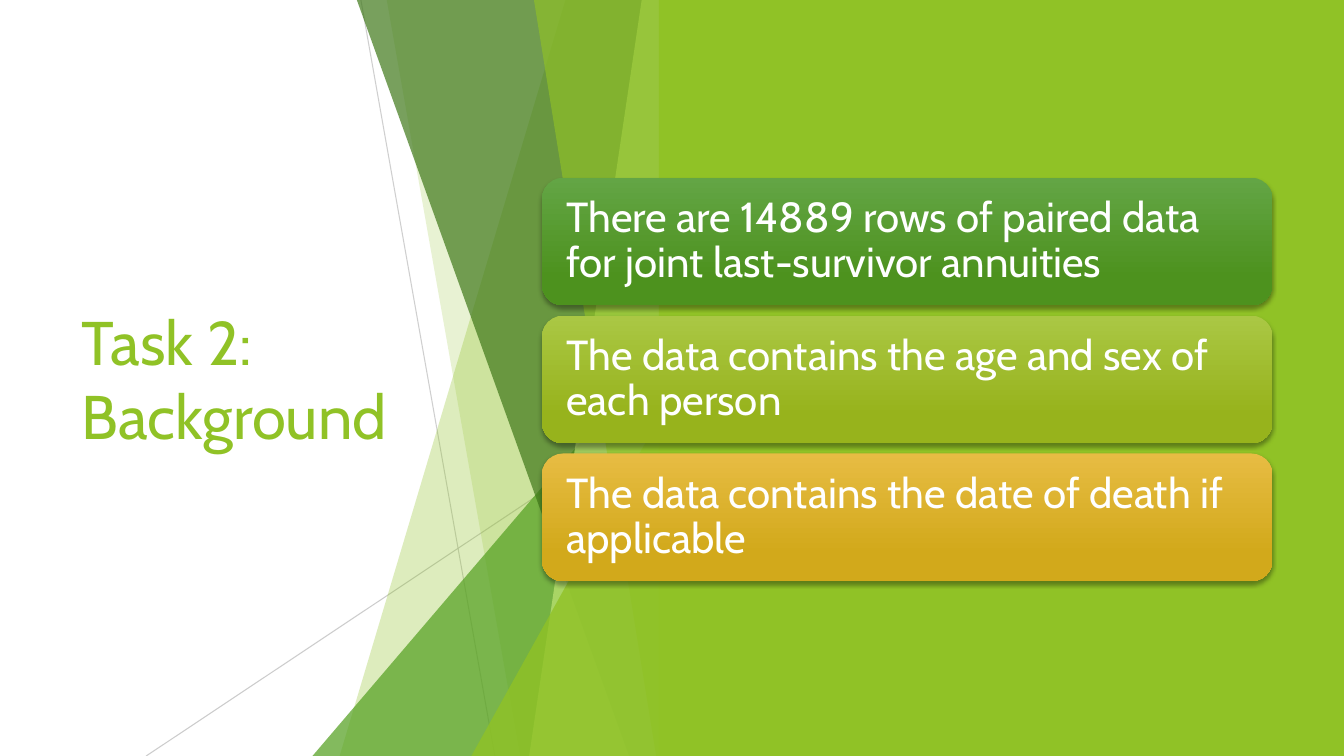
from lxml import etree
from pptx import Presentation
from pptx.dml.color import RGBColor
from pptx.enum.shapes import MSO_CONNECTOR, MSO_SHAPE
from pptx.enum.text import MSO_ANCHOR, MSO_AUTO_SIZE, PP_ALIGN
from pptx.oxml.ns import qn
from pptx.util import Pt

STRAIGHT = MSO_CONNECTOR.STRAIGHT
TRIANGLE = MSO_SHAPE.ISOSCELES_TRIANGLE
RECTANGLE = MSO_SHAPE.RECTANGLE
ROUNDED = MSO_SHAPE.ROUNDED_RECTANGLE
MIDDLE = MSO_ANCHOR.MIDDLE
NO_FIT = MSO_AUTO_SIZE.NONE
LEFT = PP_ALIGN.LEFT

LIME = RGBColor(0x90, 0xC2, 0x26)
GREEN = RGBColor(0x54, 0xA0, 0x21)
DARK_GREEN = RGBColor(0x3F, 0x78, 0x19)
PALE_LIME = RGBColor(0xC0, 0xE4, 0x74)
GREY = RGBColor(0xBF, 0xBF, 0xBF)
WHITE = RGBColor(0xFF, 0xFF, 0xFF)

WIDTH, HEIGHT = 960, 540
FACET_RIGHT = 479.6
PANEL_LEFT = 470.6
CARD_LEFT, CARD_TOP, CARD_WIDTH, CARD_HEIGHT = 387.1, 126.9, 521.9, 91.3
CARD_STEP = 98.5
CARDS = [
    ("There are 14889 rows of paired data for joint last-survivor annuities",
     RGBColor(0x63, 0xA5, 0x45), RGBColor(0x4D, 0x92, 0x1E)),
    ("The data contains the age and sex of each person",
     RGBColor(0xAA, 0xC7, 0x44), RGBColor(0x97, 0xB3, 0x1C)),
    ("The data contains the date of death if applicable",
     RGBColor(0xE7, 0xBC, 0x43), RGBColor(0xD2, 0xA9, 0x1B)),
]


def apply(target, values):
    for name, value in values.items():
        setattr(target, name, value)


def set_opacity(shape, percent):
    for color in shape.element.spPr.iter(qn("a:srgbClr")):
        etree.SubElement(color, qn("a:alpha"), val=str(percent * 1000))


class SlideBuilder:
    font_name = "Cabin"

    def __init__(self, slide):
        self.slide = slide
        self.shapes = slide.shapes

    def set_text(self, shape, text, size, color, frame_format, paragraph_format):
        frame = shape.text_frame
        frame.text = text
        apply(frame, {"word_wrap": True, "auto_size": NO_FIT,
                      "vertical_anchor": MIDDLE, **frame_format})
        paragraph = frame.paragraphs[0]
        apply(paragraph, {"alignment": LEFT, **paragraph_format})
        font = paragraph.runs[0].font
        apply(font, {"name": self.font_name, "size": Pt(size)})
        font.color.rgb = color

    def title(self, text, left, top, width, height):
        title = self.shapes.title
        apply(title, {"left": Pt(left), "top": Pt(top),
                      "width": Pt(width), "height": Pt(height)})
        self.set_text(title, text, 44, LIME, {}, {})

    def line(self, start, end, opacity):
        points = [Pt(value) for value in (*start, *end)]
        connector = self.shapes.add_connector(STRAIGHT, *points)
        connector.line.width = Pt(0.75)
        connector.line.color.rgb = GREY
        set_opacity(connector, opacity)
        etree.SubElement(connector.element.spPr, qn("a:effectLst"))

    def paint(self, shape, color, opacity):
        shape.shadow.inherit = False
        shape.fill.solid()
        shape.fill.fore_color.rgb = color
        shape.line.fill.background()
        set_opacity(shape, opacity)

    def facet(self, top_left, bottom_left, color, opacity):
        builder = self.shapes.build_freeform(Pt(top_left), 0)
        corners = [(FACET_RIGHT, 0), (FACET_RIGHT, HEIGHT), (bottom_left, HEIGHT)]
        builder.add_line_segments([(Pt(x), Pt(y)) for x, y in corners], close=True)
        self.paint(builder.convert_to_shape(), color, opacity)

    def corner(self, left, top, color, opacity):
        shape = self.shapes.add_shape(TRIANGLE, Pt(left), Pt(top),
                                      Pt(FACET_RIGHT - left), Pt(HEIGHT - top))
        shape.adjustments[0] = 1
        self.paint(shape, color, opacity)

    def panel(self, left, color):
        shape = self.shapes.add_shape(RECTANGLE, Pt(left), 0,
                                      Pt(WIDTH - left), Pt(HEIGHT))
        self.paint(shape, color, 100)

    def card(self, top, text, light, deep):
        shape = self.shapes.add_shape(ROUNDED, Pt(CARD_LEFT), Pt(top),
                                      Pt(CARD_WIDTH), Pt(CARD_HEIGHT))
        shape.line.fill.background()
        shape.fill.gradient()
        shape.fill.gradient_angle = 270
        for stop, color, position in zip(shape.fill.gradient_stops,
                                         (light, deep), (0, 0.78)):
            stop.color.rgb = color
            stop.position = position
        self.drop_shadow(shape)
        margins = {f"margin_{side}": Pt(13)
                   for side in ("left", "right", "top", "bottom")}
        self.set_text(shape, text, 30, WHITE, margins, {"line_spacing": 0.9})

    def drop_shadow(self, shape):
        shape.shadow.inherit = False
        effects = shape.element.spPr.find(qn("a:effectLst"))
        shadow = etree.SubElement(effects, qn("a:outerShdw"), blurRad=str(Pt(3)),
                                  dist=str(Pt(2)), dir="5400000", rotWithShape="0")
        color = etree.SubElement(shadow, qn("a:srgbClr"), val="000000")
        etree.SubElement(color, qn("a:alpha"), val="35000")


def main():
    presentation = Presentation()
    apply(presentation, {"slide_width": Pt(WIDTH), "slide_height": Pt(HEIGHT)})
    title_only = presentation.slide_layouts[5]
    builder = SlideBuilder(presentation.slides.add_slide(title_only))

    # Title
    builder.title("Task 2: Background", 51.1, 108.7, 279.4, 322.6)

    # Faceted backdrop, back to front
    builder.line((257.8, 0), (353.5, HEIGHT), 75)
    builder.line((FACET_RIGHT, 290.2), (104.4, HEIGHT), 80)
    builder.facet(403.9, 242.6, LIME, 30)
    builder.facet(276.3, 371.5, LIME, 20)
    builder.corner(223.2, 239.8, GREEN, 72)
    builder.facet(254.9, 449.3, DARK_GREEN, 70)
    builder.facet(458.4, 378, PALE_LIME, 70)
    builder.facet(381.4, 468.7, LIME, 65)
    builder.corner(336.7, 283, LIME, 80)
    builder.panel(PANEL_LEFT, LIME)

    # Stacked cards
    for index, (text, light, deep) in enumerate(CARDS):
        builder.card(CARD_TOP + index * CARD_STEP, text, light, deep)

    presentation.save("out.pptx")


if __name__ == "__main__":
    main()
